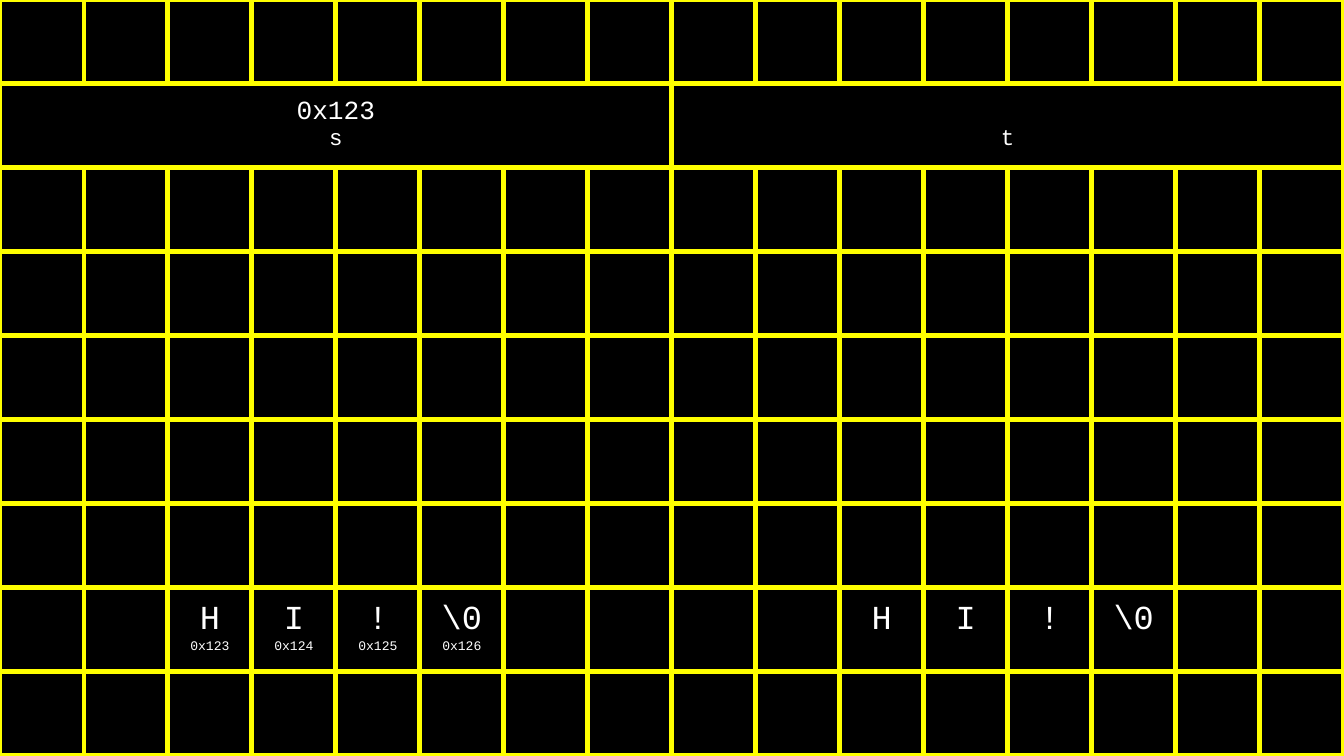
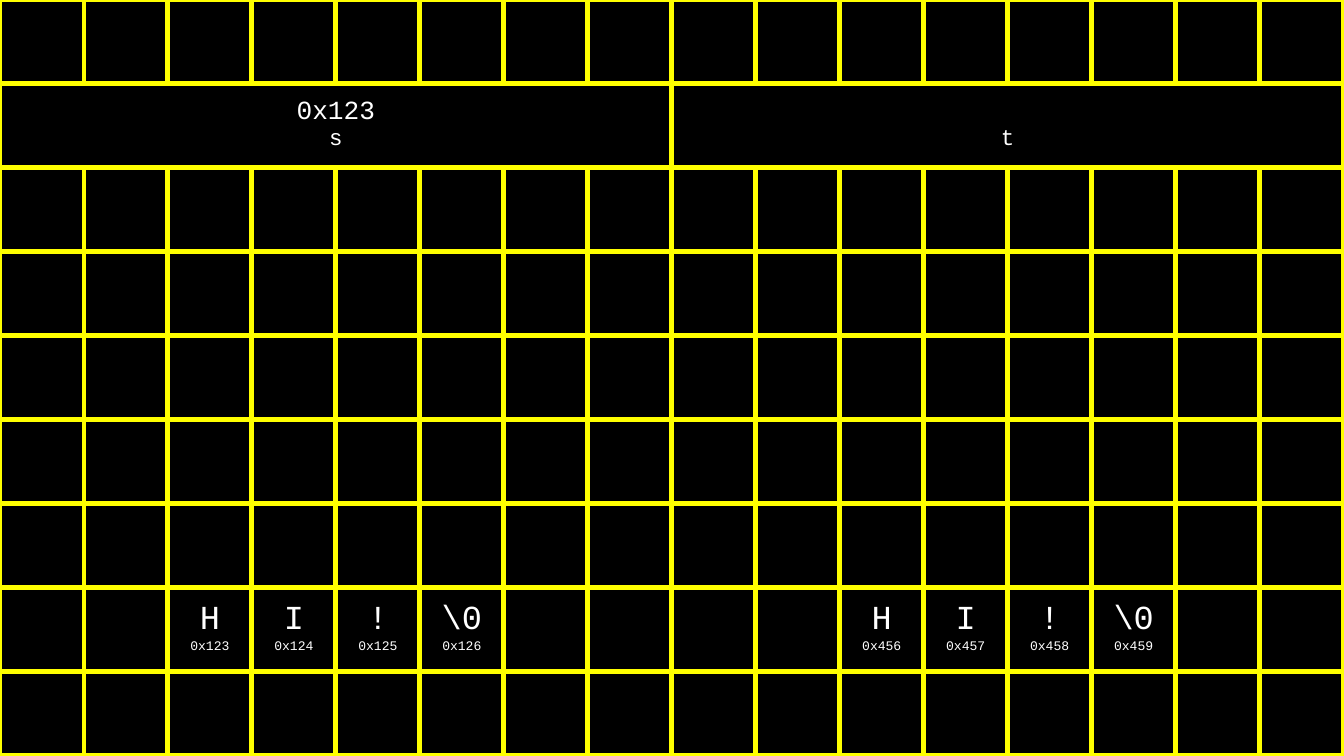
import pptx
import pptx.dml.color
import pptx.enum.text
import pptx.oxml.ns
import pptx.util
from lxml import etree

Inches, Pt = pptx.util.Inches, pptx.util.Pt
RGBColor = pptx.dml.color.RGBColor

COLORS = {"background": "000000", "grid": "FFFF00", "text": "FFFFFF"}
FONT = "Courier New"
ROWS, COLUMNS, BYTE_SIDE = 12, 16, 0.625
POINTER_ROW, POINTER_BYTES = 1, 8
STRING_ROW = 7
MARGIN = 0.1
LABEL_TOP = 0.32  # keeps a lone pointer name level with its neighbour
VALUE_SIZE, NAME_SIZE, CHAR_SIZE, ADDRESS_SIZE = 14, 12, 18, 7

CHARACTERS = ["H", "I", "!", "\\0"]
POINTERS = [("s", "0x123"), ("t", None)]
# Each string: first column, address of its first byte (None when not shown)
SLIDES = [
    [(2, 0x123), (10, None)],
    [(2, 0x123), (10, 0x456)],
]


def style_cell(cell):
    cell.margin_left = cell.margin_right = Inches(MARGIN)
    cell.margin_top = cell.margin_bottom = Inches(MARGIN)
    properties = cell._tc.get_or_add_tcPr()
    qn = pptx.oxml.ns.qn
    for side in ("a:lnL", "a:lnR", "a:lnT", "a:lnB"):
        border = etree.SubElement(properties, qn(side), w=str(Pt(3)))
        fill = etree.SubElement(border, qn("a:solidFill"))
        etree.SubElement(fill, qn("a:srgbClr"), val=COLORS["grid"])
    cell.fill.background()


def write_lines(cell, lines):
    """Write centred (text, size) lines, one paragraph each."""
    frame = cell.text_frame
    for index, (text, size) in enumerate(lines):
        paragraph = frame.add_paragraph() if index else frame.paragraphs[0]
        paragraph.alignment = pptx.enum.text.PP_ALIGN.CENTER
        run = paragraph.add_run()
        run.text = text
        run.font.name = FONT
        run.font.size = Pt(size)
        run.font.color.rgb = RGBColor.from_string(COLORS["text"])


def add_memory(slide):
    side = Inches(BYTE_SIDE)
    memory = slide.shapes.add_table(
        ROWS, COLUMNS, 0, 0, side * COLUMNS, side * ROWS).table
    memory.first_row = memory.horz_banding = False
    for cell in memory.iter_cells():
        style_cell(cell)
    return memory


def add_pointers(memory):
    for index, (name, value) in enumerate(POINTERS):
        first = index * POINTER_BYTES
        cell = memory.cell(POINTER_ROW, first)
        cell.merge(memory.cell(POINTER_ROW, first + POINTER_BYTES - 1))
        if value:
            write_lines(cell, [(value, VALUE_SIZE), (name, NAME_SIZE)])
        else:
            cell.margin_top = Inches(LABEL_TOP)
            write_lines(cell, [(name, NAME_SIZE)])


def add_string(memory, column, address):
    for offset, character in enumerate(CHARACTERS):
        lines = [(character, CHAR_SIZE)]
        if address is not None:
            lines.append((f"0x{address + offset:x}", ADDRESS_SIZE))
        write_lines(memory.cell(STRING_ROW, column + offset), lines)


def main():
    deck = pptx.Presentation()
    deck.slide_width, deck.slide_height = Inches(10), Inches(5.625)
    backdrop = deck.slide_master.background.fill
    backdrop.solid()
    backdrop.fore_color.rgb = RGBColor.from_string(COLORS["background"])
    for strings in SLIDES:
        memory = add_memory(deck.slides.add_slide(deck.slide_layouts[6]))
        add_pointers(memory)
        for column, address in strings:
            add_string(memory, column, address)
    deck.save("out.pptx")


if __name__ == "__main__":
    main()
